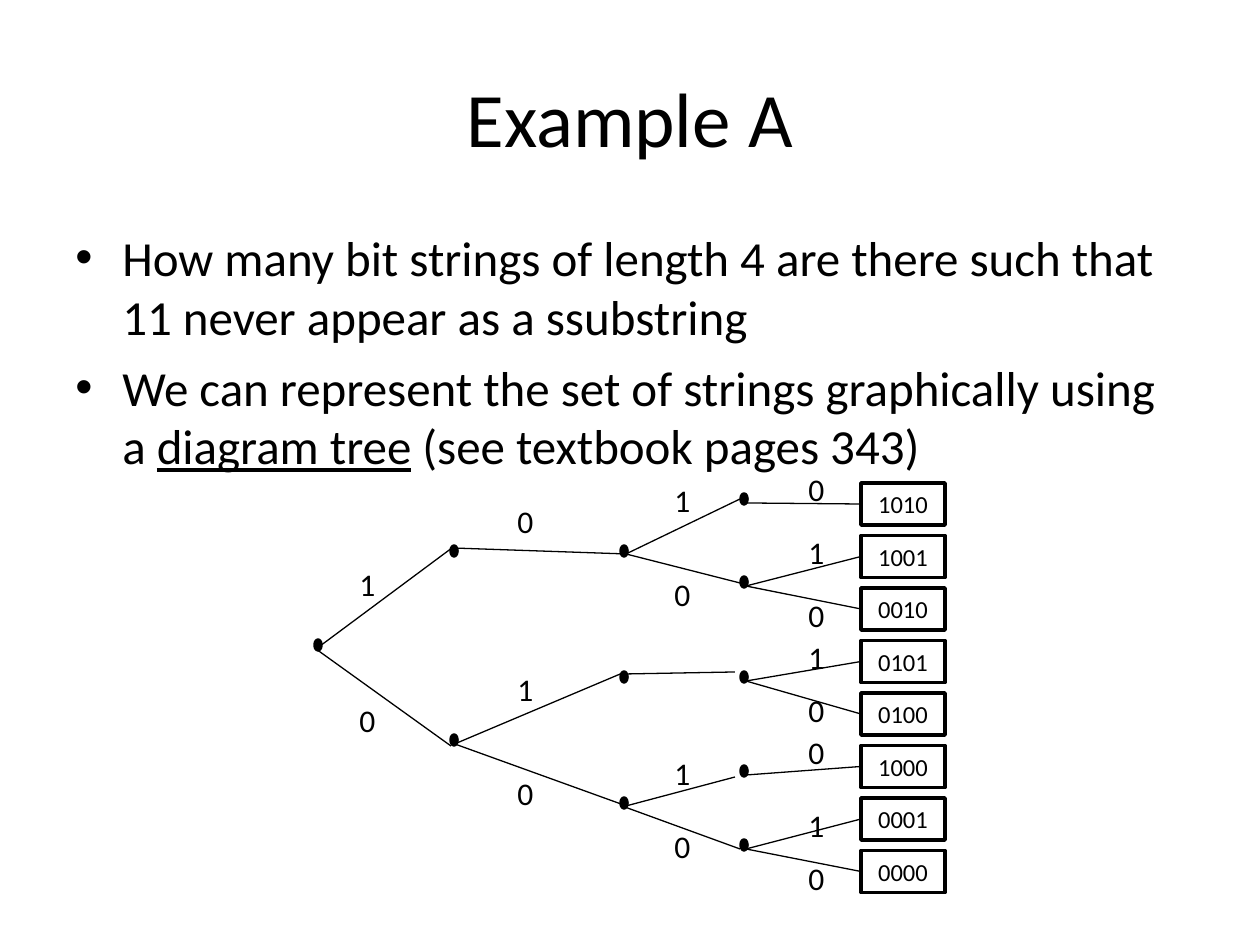
from lxml import etree
from pptx import Presentation, util as u
from pptx.dml.color import RGBColor
from pptx.enum import shapes, text
from pptx.oxml import ns

EMU_PER_PX = 914400 / 126
COLORS = {"ink": "000000"}
FONT = "Calibri"
LEFT_SIDE = 1


def px(length):
    return u.Emu(round(length * EMU_PER_PX))


class TreeSlide:
    """Holds the drawing style and the slide being drawn."""

    def __init__(self, slide):
        self.shapes = slide.shapes
        self.ink = RGBColor.from_string(COLORS["ink"])

    def style(self, font, **values):
        for name, value in {"name": FONT, **values}.items():
            setattr(font, name, value)
        font.color.rgb = self.ink

    def center(self, frame, words, size):
        frame.word_wrap = True
        frame.vertical_anchor = text.MSO_ANCHOR.MIDDLE
        line = frame.paragraphs[0]
        line.alignment = text.PP_ALIGN.CENTER
        run = line.add_run()
        run.text = words
        self.style(run.font, size=u.Pt(size))

    def label(self, words, left, top, width, height, size):
        box = self.shapes.add_textbox(*map(px, (left, top, width, height)))
        self.center(box.text_frame, words, size)

    def bullets(self, items, left, top, width, height, size, indent):
        """Each item is a list of (words, underlined) pairs."""
        frame = self.shapes.add_textbox(*map(px, (left, top, width, height))).text_frame
        frame.word_wrap = True
        for number, item in enumerate(items):
            line = frame.add_paragraph() if number else frame.paragraphs[0]
            if number:
                line.space_before = u.Pt(7)
            props = line._p.get_or_add_pPr()
            props.set("marL", str(px(indent)))
            props.set("indent", str(-px(indent)))
            etree.SubElement(props, ns.qn("a:buFont")).set("typeface", "Arial")
            etree.SubElement(props, ns.qn("a:buChar")).set("char", "•")
            for words, underlined in item:
                run = line.add_run()
                run.text = words
                self.style(run.font, size=u.Pt(size), underline=underlined)

    def outlined(self, kind, left, top, width, height):
        shape = self.shapes.add_shape(kind, *map(px, (left, top, width, height)))
        shape.shadow.inherit = False
        shape.line.color.rgb = self.ink
        shape.line.width = u.Pt(2)
        return shape

    def leaf(self, words, left, top, width, height):
        box = self.outlined(shapes.MSO_SHAPE.RECTANGLE, left, top, width, height)
        box.fill.background()
        self.center(box.text_frame, words, 14)
        return box

    def node(self, left, top):
        dot = self.outlined(shapes.MSO_SHAPE.OVAL, left, top, 6, 10)
        dot.fill.solid()
        dot.fill.fore_color.rgb = self.ink

    def branch(self, start, end, leaf=None):
        line = self.shapes.add_connector(
            shapes.MSO_CONNECTOR.STRAIGHT, *map(px, (*start, *end)))
        line.line.color.rgb = self.ink
        line.line.width = u.Pt(0.75)
        etree.SubElement(line._element.spPr, ns.qn("a:effectLst"))
        if leaf is not None:
            line.end_connect(leaf, LEFT_SIDE)


BULLETS = [
    [("How many bit strings of length 4 are there such that 11 never appear as a ssubstring", False)],
    [("We can represent the set of strings graphically using a ", False),
     ("diagram tree", True), (" (see textbook pages 343)", False)],
]

# Last-level nodes: top of the node and the strings it leads to
LAST_LEFT = 741
LAST_NODES = [
    (494, ["1010"]),
    (577, ["1001", "0010"]),
    (672, ["0101", "0100"]),
    (766, ["1000"]),
    (840, ["0001", "0000"]),
]
INNER_NODES = {315: [640], 451: [546, 735], 621: [546, 672, 798]}

INNER_BRANCHES = [
    ((316, 649), (452, 548)), ((316, 649), (451, 746)),
    ((452, 548), (626, 554)), ((457, 743), (625, 672)), ((452, 743), (621, 804)),
    ((626, 554), (740, 499)), ((626, 554), (740, 583)), ((626, 674), (735, 672)),
    ((626, 806), (735, 777)), ((622, 806), (740, 849)),
]

# Bits by column: left edge, then the bit and top of each
BITS = {
    341: [("1", 557), ("0", 693)],
    499: [("0", 494), ("1", 662), ("0", 766)],
    656: [("1", 473), ("0", 567), ("1", 746), ("0", 819)],
    790: [("0", 462), ("1", 525), ("0", 588), ("1", 630),
          ("0", 683), ("0", 725), ("1", 798), ("0", 851)],
}
BIT_SIZE = 53
LEAF_LEFT, LEAF_TOP, LEAF_WIDTH, LEAF_HEIGHT = 861, 483, 84, 42
LEAF_STEP = LEAF_HEIGHT * 5 / 4


def main():
    deck = Presentation()
    deck.slide_width, deck.slide_height = px(1260), px(945)
    tree = TreeSlide(deck.slides.add_slide(deck.slide_layouts[6]))

    tree.label("Example A", 63, 38, 1134, 158, 44)
    tree.bullets(BULLETS, 63, 221, 1134, 624, 28, 47)

    for left, tops in INNER_NODES.items():
        for top in tops:
            tree.node(left, top)
    for start, end in INNER_BRANCHES:
        tree.branch(start, end)

    leaf_top = LEAF_TOP
    for node_top, strings in LAST_NODES:
        tree.node(LAST_LEFT, node_top)
        for string in strings:
            box = tree.leaf(string, LEAF_LEFT, leaf_top, LEAF_WIDTH, LEAF_HEIGHT)
            tree.branch((LAST_LEFT + 5, node_top + 9),
                        (LEAF_LEFT, leaf_top + LEAF_HEIGHT / 2), box)
            leaf_top += LEAF_STEP

    for left, column in BITS.items():
        for bit, top in column:
            tree.label(bit, left, top, BIT_SIZE, BIT_SIZE, 18)

    deck.save("out.pptx")


if __name__ == "__main__":
    main()
